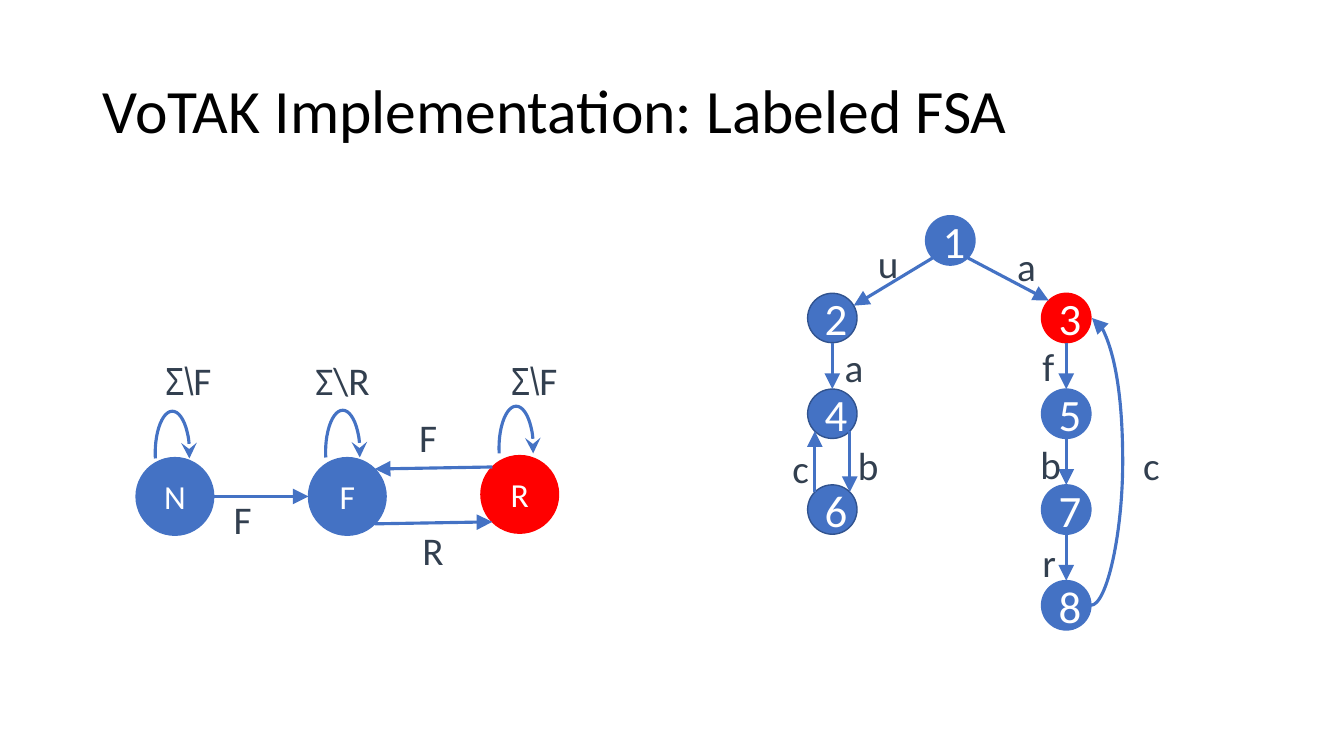
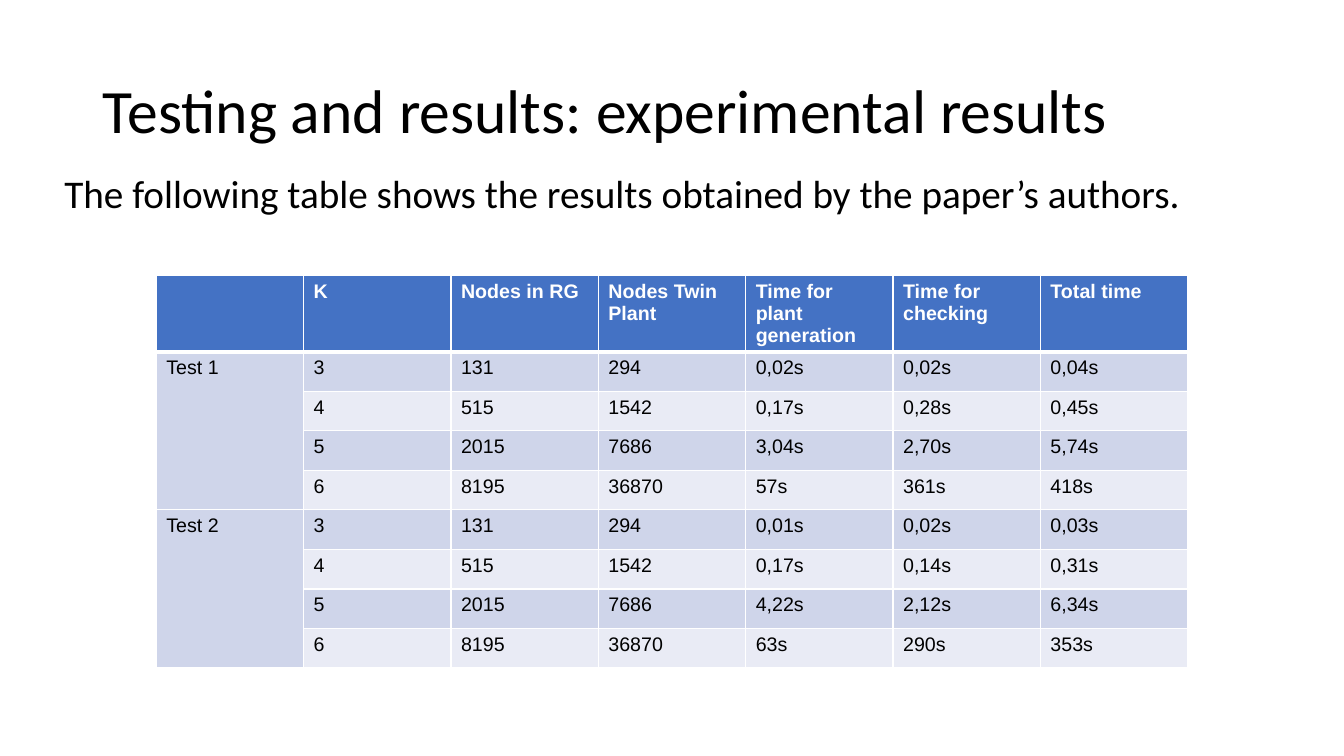
"""Builds two slides: labeled state automata and a table of experimental results."""
from math import cos, radians, sin

from lxml import etree
from pptx import Presentation
from pptx.dml.color import RGBColor
from pptx.enum.shapes import MSO_CONNECTOR, MSO_SHAPE
from pptx.enum.text import MSO_ANCHOR, MSO_AUTO_SIZE, PP_ALIGN
from pptx.oxml.ns import qn
from pptx.util import Inches, Pt

STRAIGHT, CURVE = MSO_CONNECTOR.STRAIGHT, MSO_CONNECTOR.CURVE
OVAL, ARC = MSO_SHAPE.OVAL, MSO_SHAPE.ARC
MIDDLE, NO_FIT = MSO_ANCHOR.MIDDLE, MSO_AUTO_SIZE.NONE
LEFT, CENTER = PP_ALIGN.LEFT, PP_ALIGN.CENTER

BLUE = RGBColor(0x44, 0x72, 0xC4)
DARK_BLUE = RGBColor(0x31, 0x53, 0x8F)
RED = RGBColor(0xFF, 0x00, 0x00)
SLATE = RGBColor(0x32, 0x3F, 0x4F)
BLACK = RGBColor(0x00, 0x00, 0x00)
WHITE = RGBColor(0xFF, 0xFF, 0xFF)
BANDS = (RGBColor(0xCF, 0xD5, 0xEA), RGBColor(0xE9, 0xEB, 0xF5))
BODY, NARROW, TABLE_FONT = "Calibri", "Arial Narrow", "Arial"

PLANT_D, STATE_D = 0.49, 0.77
LEFT_X, RIGHT_X, ROW_Y, ROW_STEP = 8.01, 10.33, 2.91, 0.95
ROWS_Y = [ROW_Y + i * ROW_STEP for i in range(4)]

NODES = {"1": (9.18, 2.14, PLANT_D, 32, BLUE, BLUE)}
for name, y in zip("246", ROWS_Y):
    NODES[name] = (LEFT_X, y, PLANT_D, 32, BLUE, DARK_BLUE)
for name, y, color in zip("3578", ROWS_Y, (RED, BLUE, BLUE, BLUE)):
    NODES[name] = (RIGHT_X, y, PLANT_D, 32, color, color)
NODES.update({
    "N": (1.35, 4.54, STATE_D, 24, BLUE, BLUE),
    "F": (3.06, 4.54, STATE_D, 24, BLUE, BLUE),
    "R": (4.77, 4.52, STATE_D, 24, RED, RED),
})

EDGES = [
    ("1", 135, "2", -30), ("1", 45, "3", -135),
    ("2", 90, "4", -90), ("4", 45, "6", -45), ("6", -135, "4", 135),
    ("3", 90, "5", -90), ("5", 90, "7", -90), ("7", 90, "8", -90),
    ("N", 0, "F", 180), ("F", 45, "R", 135), ("R", -135, "F", -45),
]
LOOPS = [(1.54, 4.08), (3.23, 4.07), (4.95, 4.03)]

LABELS = [
    (9.99, 2.35, 0.3, [("a", BODY)]), (8.61, 2.33, 0.3, [("u", BODY)]),
    (8.28, 3.36, 0.3, [("a", BODY)]), (8.41, 4.33, 0.3, [("b", BODY)]),
    (7.76, 4.36, 0.3, [("c", BODY)]), (10.24, 3.35, 0.3, [("f", BODY)]),
    (10.22, 4.32, 0.3, [("b", BODY)]), (10.24, 5.29, 0.3, [("r", BODY)]),
    (11.24, 4.33, 0.3, [("c", BODY)]),
    (2.22, 4.86, 0.6, [("F", BODY)]), (4.06, 4.05, 0.6, [("F", BODY)]),
    (4.09, 5.17, 0.6, [("R", BODY)]),
    (1.54, 3.49, 0.8, [("Σ\\", NARROW), ("F", BODY)]),
    (3.03, 3.49, 1.1, [("Σ\\R", BODY)]),
    (4.97, 3.49, 0.8, [("Σ\\", NARROW), ("F", BODY)]),
]

INTRO = "The following table shows the results obtained by the paper’s authors."
HEADER = ["", "K", "Nodes in RG", "Nodes Twin Plant", "Time for plant generation",
          "Time for checking", "Total time"]
SIZES = [("3", "131", "294"), ("4", "515", "1542"), ("5", "2015", "7686"),
         ("6", "8195", "36870")]
TIMES = {
    "Test 1": [("0,02s", "0,02s", "0,04s"), ("0,17s", "0,28s", "0,45s"),
               ("3,04s", "2,70s", "5,74s"), ("57s", "361s", "418s")],
    "Test 2": [("0,01s", "0,02s", "0,03s"), ("0,17s", "0,14s", "0,31s"),
               ("4,22s", "2,12s", "6,34s"), ("63s", "290s", "353s")],
}


def add_run(p, text, size, color, font=BODY, bold=False):
    r = p.add_run()
    r.text = text
    r.font.size, r.font.name, r.font.bold = Pt(size), font, bold
    r.font.color.rgb = color


def add_title_slide(prs, title):
    s = prs.slides.add_slide(prs.slide_layouts[5])
    sp = s.shapes.title
    sp.left, sp.top, sp.width, sp.height = map(Inches, (0.92, 0.4, 11.5, 1.45))
    tf = sp.text_frame
    tf.auto_size, tf.vertical_anchor = NO_FIT, MIDDLE
    tf.margin_left = tf.margin_right = tf.margin_top = tf.margin_bottom = Inches(0.1)
    p = tf.paragraphs[0]
    p.alignment, p.line_spacing = LEFT, 0.9
    add_run(p, title, 44, BLACK)
    return s


def add_text(s, x, y, w, h, runs, size, color):
    tf = s.shapes.add_textbox(*map(Inches, (x, y, w, h))).text_frame
    tf.word_wrap = True
    p = tf.paragraphs[0]
    for text, font in runs:
        add_run(p, text, size, color, font)
    return p


def add_node(s, name, x, y, d, size, fill, line):
    sp = s.shapes.add_shape(OVAL, *map(Inches, (x, y, d, d)))
    sp.shadow.inherit = False
    sp.fill.solid()
    sp.fill.fore_color.rgb = fill
    sp.line.color.rgb, sp.line.width = line, Pt(1)
    tf = sp.text_frame
    tf.vertical_anchor = MIDDLE
    p = tf.paragraphs[0]
    p.alignment = CENTER
    add_run(p, name, size, WHITE)


def rim(name, angle):
    x, y, d = NODES[name][:3]
    a = radians(angle)
    return x + d / 2 * (1 + cos(a)), y + d / 2 * (1 + sin(a))


def style_arrow(sp, head):
    sp.line.color.rgb, sp.line.width = BLUE, Pt(2.25)
    ln = sp._element.spPr.find(qn("a:ln"))
    etree.SubElement(ln, qn("a:tailEnd"), type=head, w="lg", len="lg")


def add_arrow(s, start, end, kind=STRAIGHT):
    c = s.shapes.add_connector(kind, *map(Inches, (*start, *end)))
    style_arrow(c, "triangle")
    etree.SubElement(c._element.spPr, qn("a:effectLst"))
    return c


def add_loop(s, x, y):
    sp = s.shapes.add_shape(ARC, *map(Inches, (x, y, 0.34, 0.83)))
    sp.adjustments[0], sp.adjustments[1] = 97.34, 10.59
    sp.fill.background()
    style_arrow(sp, "stealth")
    sp.shadow.inherit = False


def add_return_curve(s):
    x, y = rim("8", 0)
    c = add_arrow(s, (x, y), (x + 0.01, ROW_Y + PLANT_D / 2), CURVE)
    geom = c._element.spPr.find(qn("a:prstGeom"))
    guides = geom.find(qn("a:avLst"))
    if guides is None:
        guides = etree.SubElement(geom, qn("a:avLst"))
    etree.SubElement(guides, qn("a:gd"), name="adj1", fmla="val 3200000")


def style_cell(cell, fill, top, bottom):
    cell.fill.solid()
    cell.fill.fore_color.rgb = fill
    tcPr = cell._tc.get_or_add_tcPr()
    for i, (side, width) in enumerate((("L", 1), ("R", 1), ("T", top), ("B", bottom))):
        ln = etree.Element(qn("a:ln" + side), w=str(Pt(width)))
        solid = etree.SubElement(ln, qn("a:solidFill"))
        etree.SubElement(solid, qn("a:srgbClr"), val=str(WHITE))
        tcPr.insert(i, ln)


def add_results_table(s):
    rows = [HEADER]
    for test, times in TIMES.items():
        for i, (sizes, durations) in enumerate(zip(SIZES, times)):
            rows.append(["" if i else test, *sizes, *durations])
    header_h, table_h = 0.76, 3.9
    row_h = (table_h - header_h) / (len(rows) - 1)
    table = s.shapes.add_table(len(rows), len(HEADER),
                               *map(Inches, (1.55, 2.73, 10.23, table_h))).table
    for i, row in enumerate(rows):
        table.rows[i].height = Inches(row_h if i else header_h)
        for j, text in enumerate(row):
            cell = table.cell(i, j)
            fill = BANDS[(i - 1) % 2 if j else 0] if i else BLUE
            style_cell(cell, fill, 3 if i == 1 else 1, 1 if i else 3)
            if text:
                add_run(cell.text_frame.paragraphs[0], text, 14,
                        BLACK if i else WHITE, TABLE_FONT, i == 0)
    for first in range(1, len(rows), len(SIZES)):
        table.cell(first, 0).merge(table.cell(first + len(SIZES) - 1, 0))


def main():
    prs = Presentation()
    prs.slide_width, prs.slide_height = Inches(13.33), Inches(7.5)

    s = add_title_slide(prs, "VoTAK Implementation: Labeled FSA")
    for name, node in NODES.items():
        add_node(s, name, *node)
    for source, leave, target, enter in EDGES:
        add_arrow(s, rim(source, leave), rim(target, enter))
    add_return_curve(s)
    for x, y in LOOPS:
        add_loop(s, x, y)
    for x, y, w, runs in LABELS:
        add_text(s, x, y, w, 0.5, runs, 28, SLATE)

    s = add_title_slide(prs, "Testing and results: experimental results")
    add_results_table(s)
    p = add_text(s, 0.54, 1.68, 11.53, 0.8, [(INTRO, BODY)], 28, BLACK)
    p.line_spacing, p.space_before = 0.9, Pt(10)

    prs.save("out.pptx")


if __name__ == "__main__":
    main()
